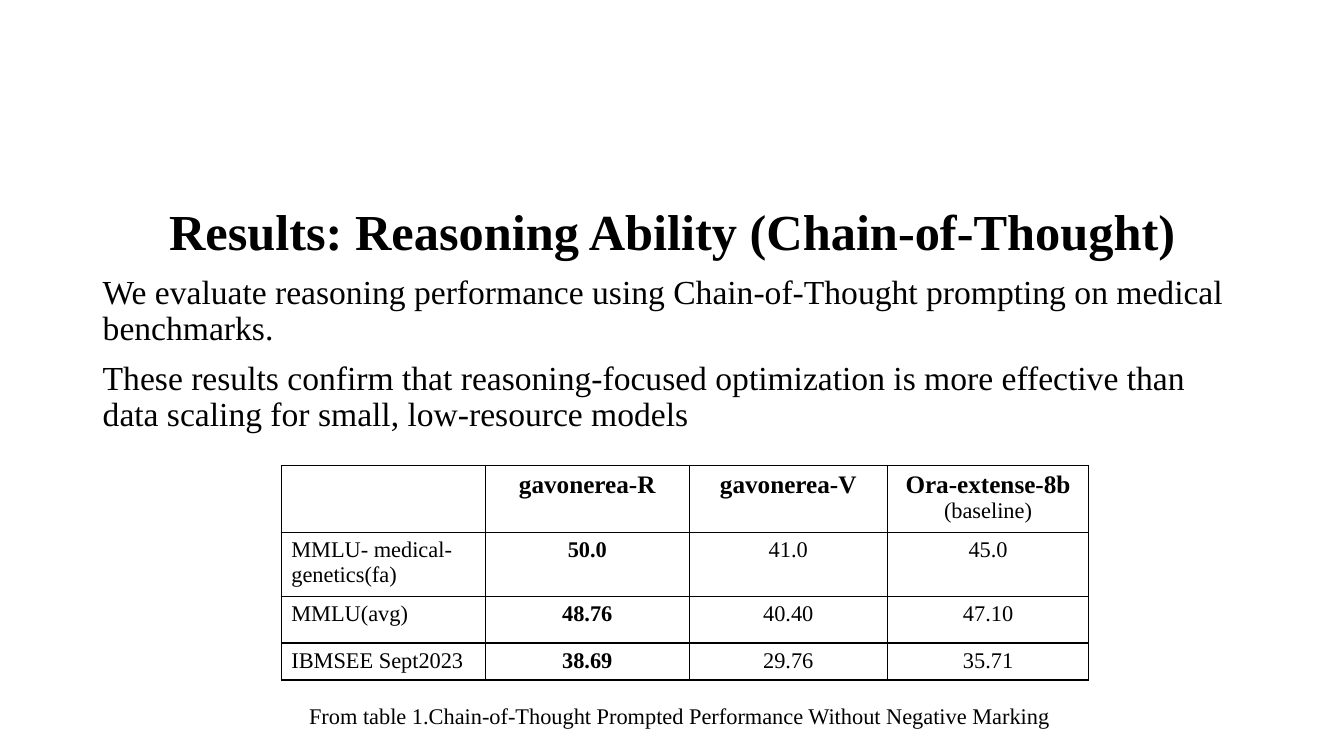
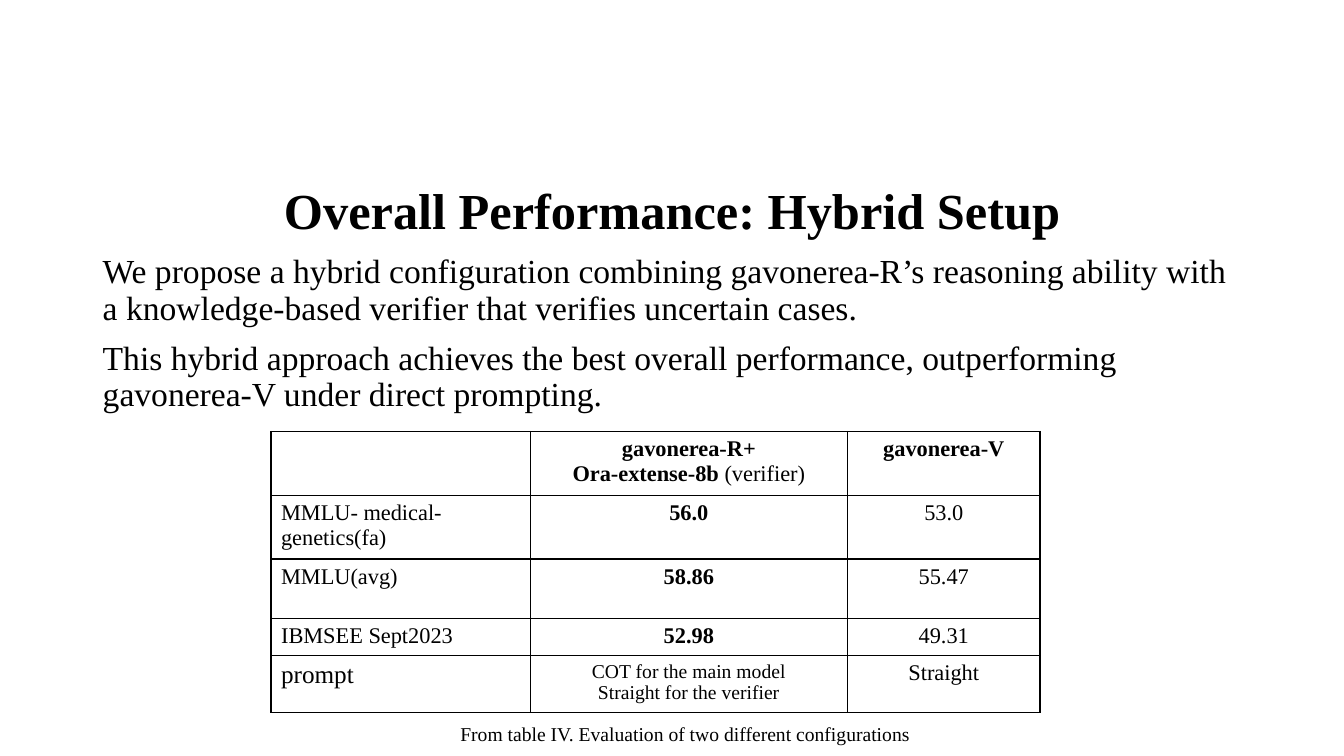
from dataclasses import dataclass

from lxml.etree import SubElement
from pptx import Presentation
from pptx.dml.color import RGBColor
from pptx.enum.text import MSO_ANCHOR, PP_ALIGN
from pptx.oxml.ns import qn
from pptx.util import Cm, Pt


@dataclass(frozen=True)
class Theme:
    font: str = "Times New Roman"
    ink: str = "000000"
    paper: str = "FFFFFF"
    title: int = 36
    body: int = 24
    label: int = 18
    cell: int = 16
    note: int = 14
    border: float = 0.96


THEME = Theme()
LEFT, CENTER = PP_ALIGN.LEFT, PP_ALIGN.CENTER


def add_text(tf, text, size=THEME.cell, bold=False, align=LEFT,
             line=None, before=None, same_line=False):
    p = tf.paragraphs[-1]
    if p.runs and not same_line:
        p = tf.add_paragraph()
    p.alignment = align
    if line is not None:
        p.line_spacing = line
    if before is not None:
        p.space_before = Pt(before)
    r = p.add_run()
    r.text = text
    r.font.name = THEME.font
    r.font.size = Pt(size)
    r.font.bold = bold
    r.font.color.rgb = RGBColor.from_string(THEME.ink)


def add_box(slide, box, wrap=True):
    tf = slide.shapes.add_textbox(*map(Cm, box)).text_frame
    tf.word_wrap = wrap
    tf.vertical_anchor = MSO_ANCHOR.TOP
    return tf


def add_body(slide, box, title, points):
    tf = add_box(slide, box)
    spacing = dict(line=0.9, before=10)
    add_text(tf, title, size=THEME.title, bold=True, align=CENTER, **spacing)
    for point in points:
        add_text(tf, point, size=THEME.body, **spacing)


def style_cell(cell):
    tc_pr = cell._tc.get_or_add_tcPr()
    for side in ("a:lnL", "a:lnR", "a:lnT", "a:lnB"):
        ln = SubElement(tc_pr, qn(side), w=str(Pt(THEME.border)))
        fill = SubElement(ln, qn("a:solidFill"))
        SubElement(fill, qn("a:srgbClr"), val=THEME.ink)
    cell.fill.solid()
    cell.fill.fore_color.rgb = RGBColor.from_string(THEME.paper)


def add_results(slide, corner, widths, heights, rows):
    box = (*corner, sum(widths), sum(heights))
    table = slide.shapes.add_table(len(heights), len(widths), *map(Cm, box)).table
    table.first_row = table.horz_banding = False
    for column, width in zip(table.columns, widths):
        column.width = Cm(width)
    for row, height in zip(table.rows, heights):
        row.height = Cm(height)
    for i, row in enumerate(rows):
        for j, content in enumerate(row):
            cell = table.cell(i, j)
            style_cell(cell)
            runs = [(content, {})] if isinstance(content, str) else content
            for text, changes in runs:
                style = dict(bold=i == 0 or j == 1, align=CENTER if j else LEFT)
                add_text(cell.text_frame, text, **{**style, **changes})


def add_caption(slide, box, text, size):
    add_text(add_box(slide, box, wrap=False), text, size=size)


def add_result_slide(prs, body, results, caption):
    slide = prs.slides.add_slide(prs.slide_layouts[6])
    add_body(slide, **body)
    add_results(slide, **results)
    add_caption(slide, **caption)


def main():
    prs = Presentation()
    prs.slide_width, prs.slide_height = Cm(33.87), Cm(19.05)
    label = dict(size=THEME.label)
    aside = dict(bold=False, same_line=True)
    note = dict(size=THEME.note, bold=False)

    add_result_slide(
        prs,
        body=dict(
            box=(2.34, 5.08, 29.21, 12.09),
            title="Results: Reasoning Ability (Chain-of-Thought)",
            points=[
                "We evaluate reasoning performance using Chain-of-Thought prompting on medical benchmarks.",
                "These results confirm that reasoning-focused optimization is more effective than data scaling for small, low-resource models",
            ],
        ),
        results=dict(
            corner=(7.09, 11.73),
            widths=(5.14, 5.14, 4.99, 5.08),
            heights=(1.5, 1.5, 1.17, 0.9),
            rows=[
                ["", [("gavonerea-R", label)], [("gavonerea-V", label)],
                 [("Ora-extense-8b ", label), ("(baseline)", aside)]],
                ["MMLU- medical-genetics(fa)", "50.0", "41.0", "45.0"],
                ["MMLU(avg)", "48.76", "40.40", "47.10"],
                ["IBMSEE Sept2023", "38.69", "29.76", "35.71"],
            ],
        ),
        caption=dict(
            box=(7.54, 17.58, 19.43, 0.94),
            text="From table 1.Chain-of-Thought Prompted Performance Without Negative Marking",
            size=THEME.cell,
        ),
    )

    add_result_slide(
        prs,
        body=dict(
            box=(2.34, 4.57, 29.21, 12.57),
            title="Overall Performance: Hybrid Setup",
            points=[
                "We propose a hybrid configuration combining gavonerea-R’s reasoning ability with a knowledge-based verifier that verifies uncertain cases.",
                "This hybrid approach achieves the best overall performance, outperforming gavonerea-V under direct prompting.",
            ],
        ),
        results=dict(
            corner=(6.83, 10.87),
            widths=(6.53, 8, 4.85),
            heights=(1.5, 1.5, 1.5, 0.9, 0.9),
            rows=[
                ["", [("gavonerea-R+", {}), ("Ora-extense-8b ", {}), ("(verifier)", aside)],
                 "gavonerea-V"],
                ["MMLU- medical-genetics(fa)", "56.0", "53.0"],
                ["MMLU(avg)", "58.86", "55.47"],
                ["IBMSEE Sept2023", "52.98", "49.31"],
                [[("prompt", label)],
                 [("COT for the main model", note), ("Straight for the verifier", note)],
                 "Straight"],
            ],
        ),
        caption=dict(
            box=(11.35, 18.06, 11.99, 0.86),
            text="From table IV. Evaluation of two different configurations",
            size=THEME.note,
        ),
    )
    prs.save("out.pptx")


if __name__ == "__main__":
    main()
